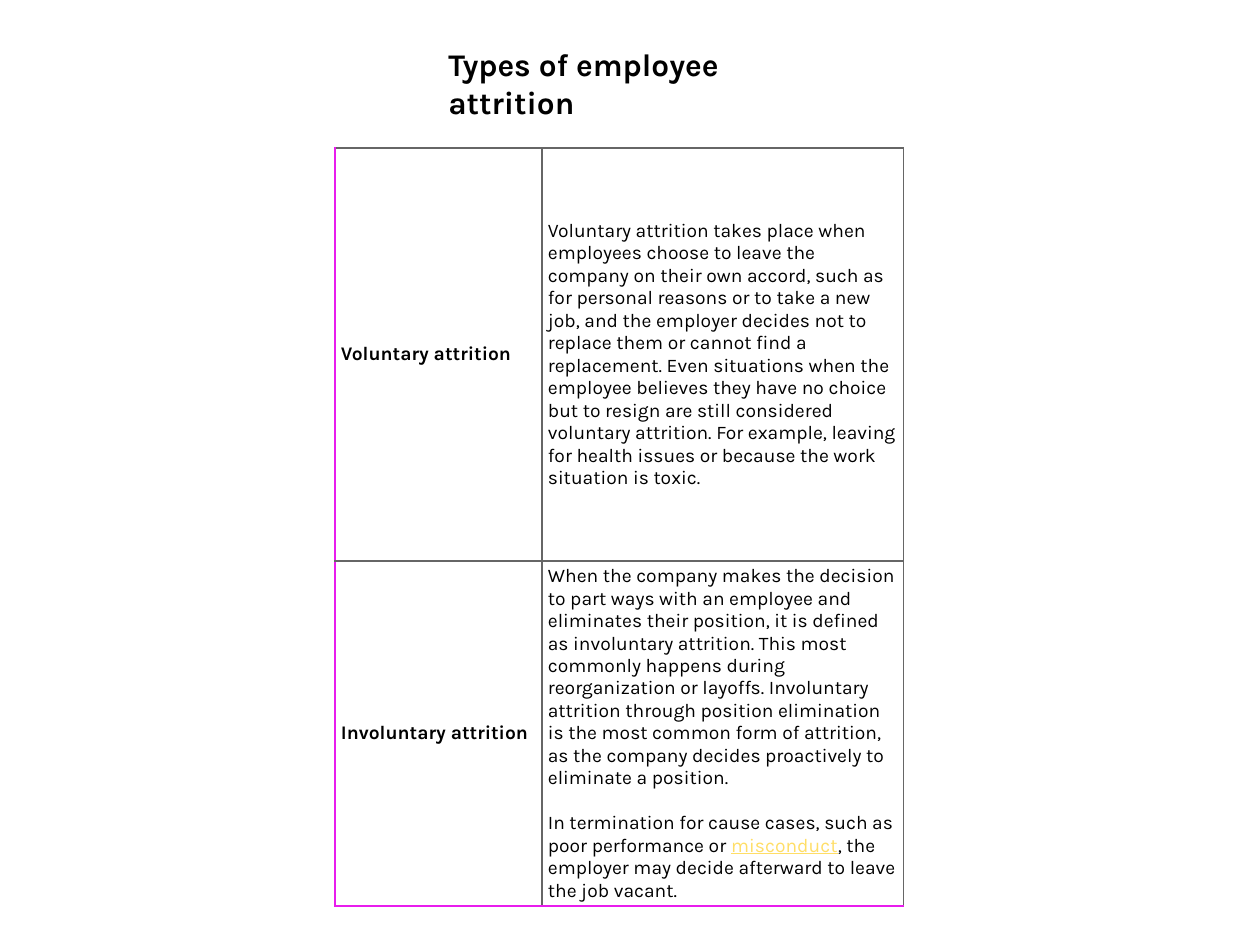
from lxml import etree
from pptx import Presentation
from pptx import util as u
from pptx.dml.color import RGBColor
from pptx.enum import text
from pptx.oxml import ns

INK, GRAY, PINK, GOLD = "000000", "666666", "E81CED", "FFDE66"
ROWS = [
    ("Voluntary attrition", [[
        ("Voluntary attrition takes place when employees choose to leave the "
         "company on their own accord, such as for personal reasons or to take "
         "a new job, and the employer decides not to replace them or cannot "
         "find a replacement. Even situations when the employee believes they "
         "have no choice but to resign are still considered voluntary "
         "attrition. For example, leaving for health issues or because the "
         "work situation is toxic.", INK)]]),
    ("Involuntary attrition", [
        [("When the company makes the decision to part ways with an employee "
          "and eliminates their position, it is defined as involuntary "
          "attrition. This most commonly happens during reorganization or "
          "layoffs. Involuntary attrition through position elimination is the "
          "most common form of attrition, as the company decides proactively "
          "to eliminate a position.", INK)],
        [("In termination for cause cases, such as poor performance or ", INK),
         ("misconduct", GOLD),
         (", the employer may decide afterward to leave the job vacant.", INK)]]),
]


def px(n):
    return u.Emu(round(n * 914400 / 126))


def color(code):
    return RGBColor.from_string(code)


class Deck:
    """Holds the text style and the current slide."""

    font = "Karla"

    def __init__(self, wide, high):
        self.prs = Presentation()
        self.prs.slide_width, self.prs.slide_height = px(wide), px(high)
        self.slide = self.prs.slides.add_slide(self.prs.slide_layouts[6])

    def style(self, run, size, bold, ink=INK):
        font = run.font
        font.name, font.size, font.bold = self.font, u.Pt(size), bold
        font.color.rgb = color(ink)
        font.underline = ink == GOLD

    def title(self, words, left, top, wide, high):
        box = self.slide.shapes.add_textbox(px(left), px(top), px(wide), px(high))
        frame = box.text_frame
        frame.word_wrap = True
        frame.auto_size = text.MSO_AUTO_SIZE.SHAPE_TO_FIT_TEXT
        frame.text = words
        self.style(frame.paragraphs[0].runs[0], 18, True)

    def edges(self, cell, inks):
        props = cell._tc.get_or_add_tcPr()
        for spot, (side, ink) in enumerate(zip("LRTB", inks)):
            line = etree.Element(ns.qn("a:ln" + side), w=str(u.Pt(0.75)))
            fill = etree.SubElement(line, ns.qn("a:solidFill"))
            etree.SubElement(fill, ns.qn("a:srgbClr"), val=ink)
            props.insert(spot, line)

    def cell(self, cell, paras, bold):
        cell.fill.background()
        cell.vertical_anchor = text.MSO_ANCHOR.MIDDLE
        cell.margin_left = cell.margin_right = px(6)
        cell.margin_top = cell.margin_bottom = px(4)
        frame = cell.text_frame
        for i, parts in enumerate(paras):
            para = frame.add_paragraph() if i else frame.paragraphs[0]
            para.space_before = u.Pt(12.8 if i else 0)
            for words, ink in parts:
                run = para.add_run()
                run.text = words
                self.style(run, 11, bold, ink)

    def table(self, rows, left, top, wides, highs):
        frame = self.slide.shapes.add_table(
            len(rows), len(wides), px(left), px(top), px(sum(wides)), px(sum(highs)))
        grid = frame.table
        grid.first_row = grid.horz_banding = False
        for col, wide in zip(grid.columns, wides):
            col.width = px(wide)
        for row, high in zip(grid.rows, highs):
            row.height = px(high)
        for r, (name, paras) in enumerate(rows):
            base = PINK if r == len(rows) - 1 else GRAY
            for c, body in enumerate(([[(name, INK)]], paras)):
                cell = grid.cell(r, c)
                self.cell(cell, body, c == 0)
                self.edges(cell, (GRAY if c else PINK, GRAY, GRAY, base))


def main():
    deck = Deck(1260, 945)
    deck.table(ROWS, 335, 148, (207, 362), (413, 344))
    deck.title("Types of employee attrition", 436, 39, 388, 50)
    deck.prs.save("out.pptx")


if __name__ == "__main__":
    main()
